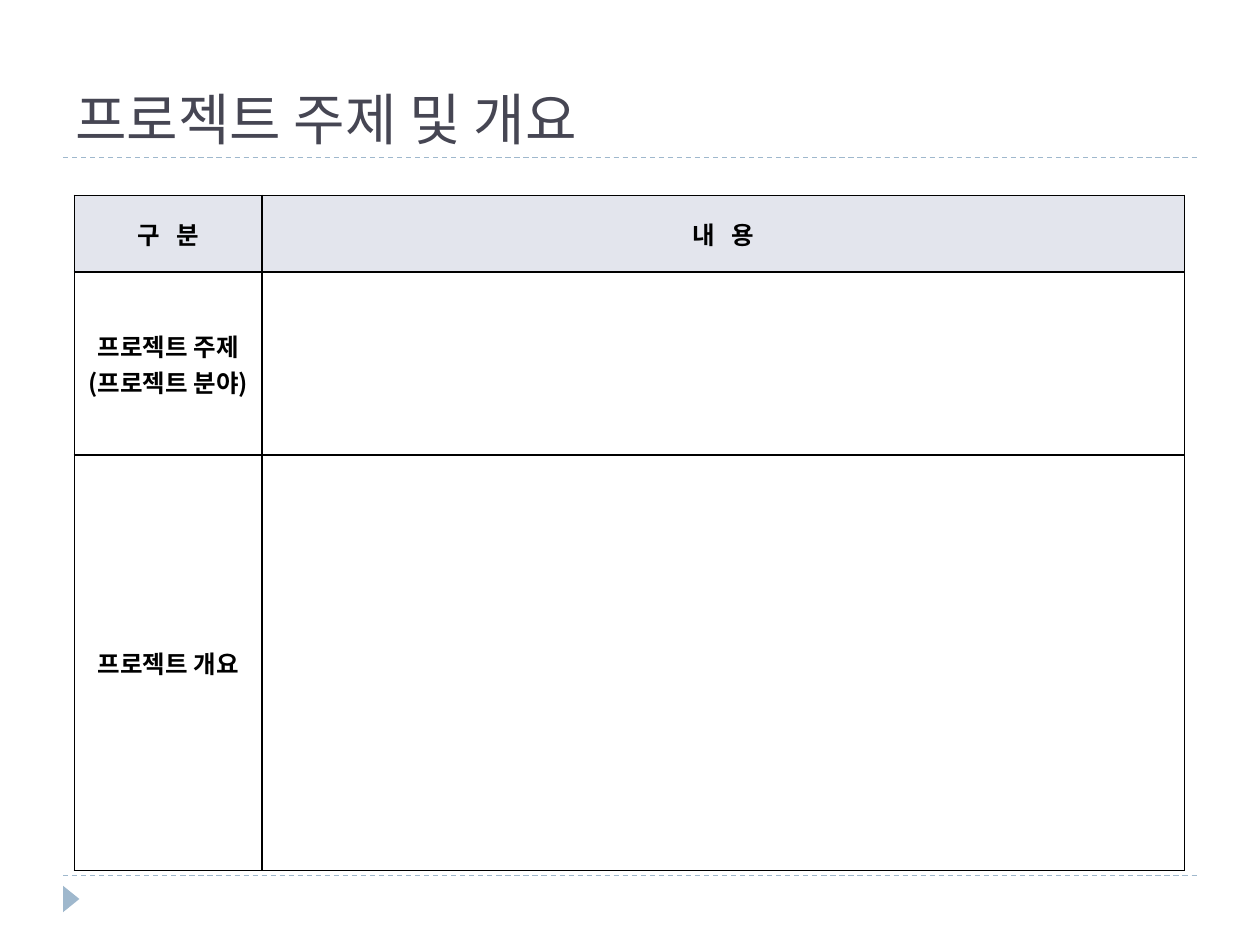
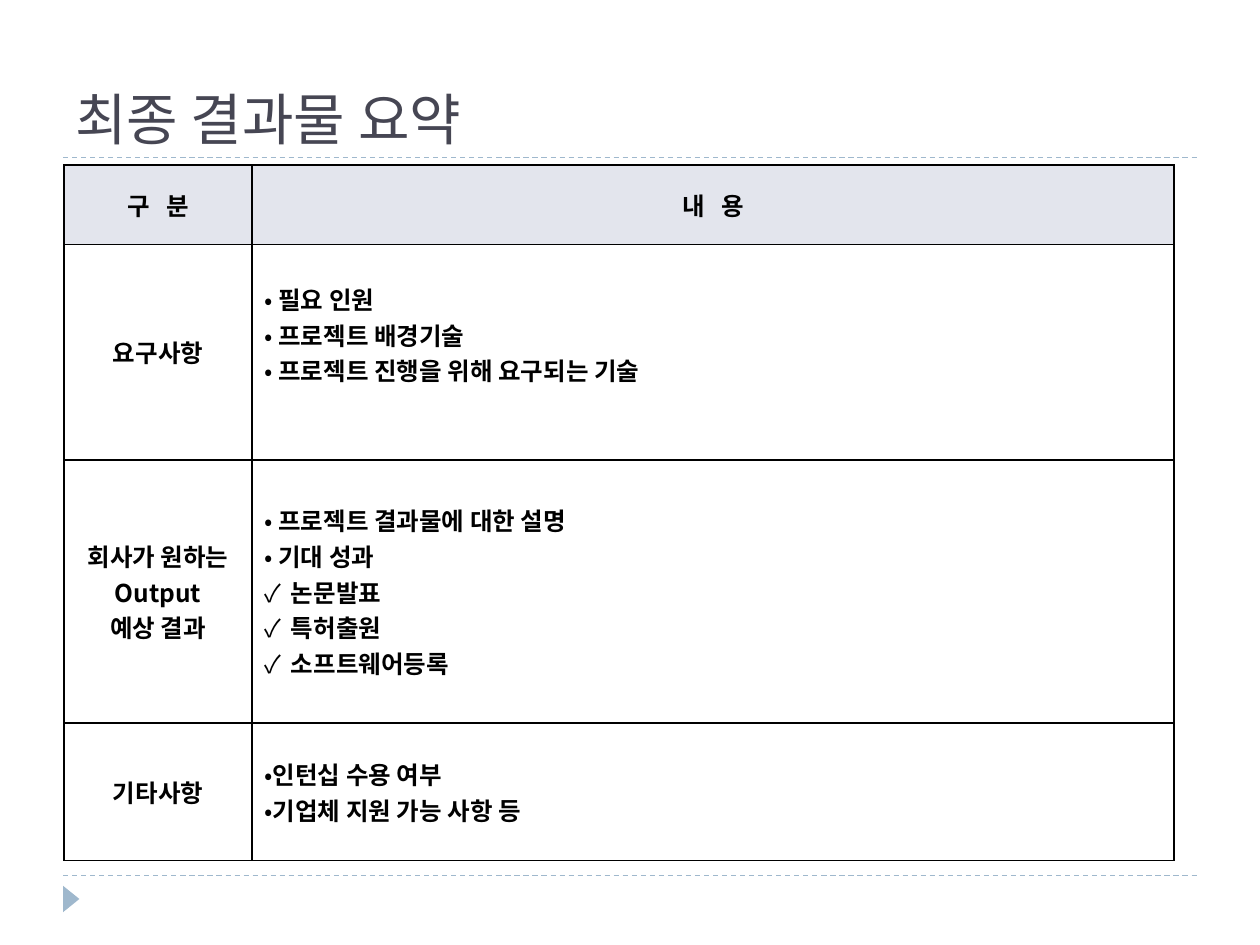
from lxml.etree import SubElement
from pptx import Presentation
from pptx.dml.color import RGBColor
from pptx.enum.dml import MSO_LINE_DASH_STYLE as Dash
from pptx.enum.shapes import MSO_CONNECTOR as Connector, MSO_SHAPE as Shape
from pptx.enum.text import MSO_ANCHOR as Anchor, PP_ALIGN as Align
from pptx.oxml.ns import qn
from pptx.util import Inches, Pt

# Shared look
ACCENT = RGBColor(0x9F, 0xB8, 0xCD)
TITLE_COLOR = RGBColor(0x46, 0x46, 0x53)
HEADER_FILL = RGBColor(0xE3, 0xE5, 0xED)
BLACK = RGBColor(0, 0, 0)
TITLE_FONT = "TeX Gyre Bonum"
BODY_FONT = "Noto Sans CJK KR"

# Slide grid: 20 columns by 30 rows
SLIDE_WIDTH, SLIDE_HEIGHT = Inches(10), Inches(7.5)
COLUMN_WIDTHS = (2.98, 14.64)
TITLE_RULE_ROW, FOOTER_RULE_ROW = 5, 27.8
WIDE_SPACE = 620  # extra letter spacing, hundredths of a point

# Bullet styles: character and hanging indent in grid columns
DOT = ("•", 0.22)
TIGHT_DOT = ("•", 0.12)
CHECK = ("✓", 0.42)

HEADERS = (("구", "분"), ("내", "용"))
TOPIC_ROWS = [
    (2.44, None, None),
    (5.8, ["프로젝트 주제", "(프로젝트 분야)"], []),
    (13.2, ["프로젝트 개요"], []),
]
RESULT_ROWS = [
    (2.52, None, None),
    (6.84, ["요구사항"], [
        (DOT, "필요 인원"),
        (DOT, "프로젝트 배경기술"),
        (DOT, "프로젝트 진행을 위해 요구되는 기술"),
    ]),
    (8.36, ["회사가 원하는", "Output", "예상 결과"], [
        (DOT, "프로젝트 결과물에 대한 설명"),
        (DOT, "기대 성과"),
        (CHECK, "논문발표"),
        (CHECK, "특허출원"),
        (CHECK, "소프트웨어등록"),
    ]),
    (4.36, ["기타사항"], [
        (TIGHT_DOT, "인턴십 수용 여부"),
        (TIGHT_DOT, "기업체 지원 가능 사항 등"),
    ]),
]


def across(columns):
    return round(SLIDE_WIDTH * columns / 20)


def down(rows):
    return round(SLIDE_HEIGHT * rows / 30)


def add_run(paragraph, text, font=BODY_FONT, size=14, color=BLACK, bold=True):
    run = paragraph.add_run()
    run.text = text
    run.font.name = font
    run.font.size = Pt(size)
    run.font.bold = bold
    run.font.color.rgb = color
    SubElement(run.font._element, qn("a:ea"), typeface=BODY_FONT)
    return run


def next_paragraph(text_frame, index):
    return text_frame.add_paragraph() if index else text_frame.paragraphs[0]


def add_rule(slide, row):
    rule = slide.shapes.add_connector(
        Connector.STRAIGHT, across(1), down(row), across(19), down(row))
    rule.line.color.rgb = ACCENT
    rule.line.width = Pt(0.75)
    rule.line.dash_style = Dash.DASH
    SubElement(rule._element.spPr, qn("a:effectLst"))


def add_frame(slide):
    """Rules under the title and above the footer, with the footer marker."""
    for row in (FOOTER_RULE_ROW, TITLE_RULE_ROW):
        add_rule(slide, row)
    marker = slide.shapes.add_shape(
        Shape.ISOSCELES_TRIANGLE, across(0.92), down(28.28), across(0.42), down(0.52))
    marker.rotation = 90
    marker.shadow.inherit = False
    marker.fill.solid()
    marker.fill.fore_color.rgb = ACCENT
    marker.line.fill.background()


def add_title(slide, text):
    box = slide.shapes.add_textbox(across(1), down(1), across(18), down(4))
    text_frame = box.text_frame
    text_frame.word_wrap = True
    text_frame.vertical_anchor = Anchor.BOTTOM
    add_run(text_frame.paragraphs[0], text, TITLE_FONT, 32, TITLE_COLOR, False)


def style_cell(cell, fill=None):
    cell.vertical_anchor = Anchor.MIDDLE
    properties = cell._tc.get_or_add_tcPr()
    for side in ("lnL", "lnR", "lnT", "lnB"):
        border = SubElement(properties, qn(f"a:{side}"), w=str(Pt(1)))
        solid = SubElement(border, qn("a:solidFill"))
        SubElement(solid, qn("a:srgbClr"), val=str(BLACK))
    if fill is None:
        cell.fill.background()
    else:
        cell.fill.solid()
        cell.fill.fore_color.rgb = fill


def write_header(cell, syllables):
    """Two syllables set apart by a widened space."""
    paragraph = cell.text_frame.paragraphs[0]
    paragraph.alignment = Align.CENTER
    first, last = syllables
    add_run(paragraph, first)
    space = add_run(paragraph, " ")
    space.font._element.set("spc", str(WIDE_SPACE))
    add_run(paragraph, last)


def write_label(cell, lines):
    for index, line in enumerate(lines):
        paragraph = next_paragraph(cell.text_frame, index)
        paragraph.alignment = Align.CENTER
        add_run(paragraph, line)


def write_bullets(cell, items):
    for index, ((character, indent), text) in enumerate(items):
        paragraph = next_paragraph(cell.text_frame, index)
        properties = paragraph._p.get_or_add_pPr()
        properties.set("marL", str(across(indent)))
        properties.set("indent", str(-across(indent)))
        SubElement(properties, qn("a:buFont"), typeface=BODY_FONT)
        SubElement(properties, qn("a:buChar"), char=character)
        add_run(paragraph, text)


def add_outline_table(slide, left, top, rows):
    """Header row first, then a label and its bullets on each row."""
    height = sum(row[0] for row in rows)
    table = slide.shapes.add_table(
        len(rows), len(COLUMN_WIDTHS), across(left), down(top),
        across(sum(COLUMN_WIDTHS)), down(height)).table
    table.first_row = table.horz_banding = False
    for column, width in zip(table.columns, COLUMN_WIDTHS):
        column.width = across(width)
    for index, (row_height, label, items) in enumerate(rows):
        table.rows[index].height = down(row_height)
        cells = table.rows[index].cells
        for cell, header in zip(cells, HEADERS):
            style_cell(cell, None if index else HEADER_FILL)
            if index == 0:
                write_header(cell, header)
        if index:
            write_label(cells[0], label)
            write_bullets(cells[1], items)
    return table


def add_slide(presentation, title):
    slide = presentation.slides.add_slide(presentation.slide_layouts[6])
    add_frame(slide)
    add_title(slide, title)
    return slide


def main():
    presentation = Presentation()
    presentation.slide_width, presentation.slide_height = SLIDE_WIDTH, SLIDE_HEIGHT

    # Topic and overview
    slide = add_slide(presentation, "프로젝트 주제 및 개요")
    add_outline_table(slide, 1.18, 6.2, TOPIC_ROWS)

    # Summary of results; the requirements sit one line above centre
    slide = add_slide(presentation, "최종 결과물 요약")
    table = add_outline_table(slide, 1.02, 5.24, RESULT_ROWS)
    table.cell(1, 1).margin_bottom = down(1.32)

    presentation.save("out.pptx")


main()
